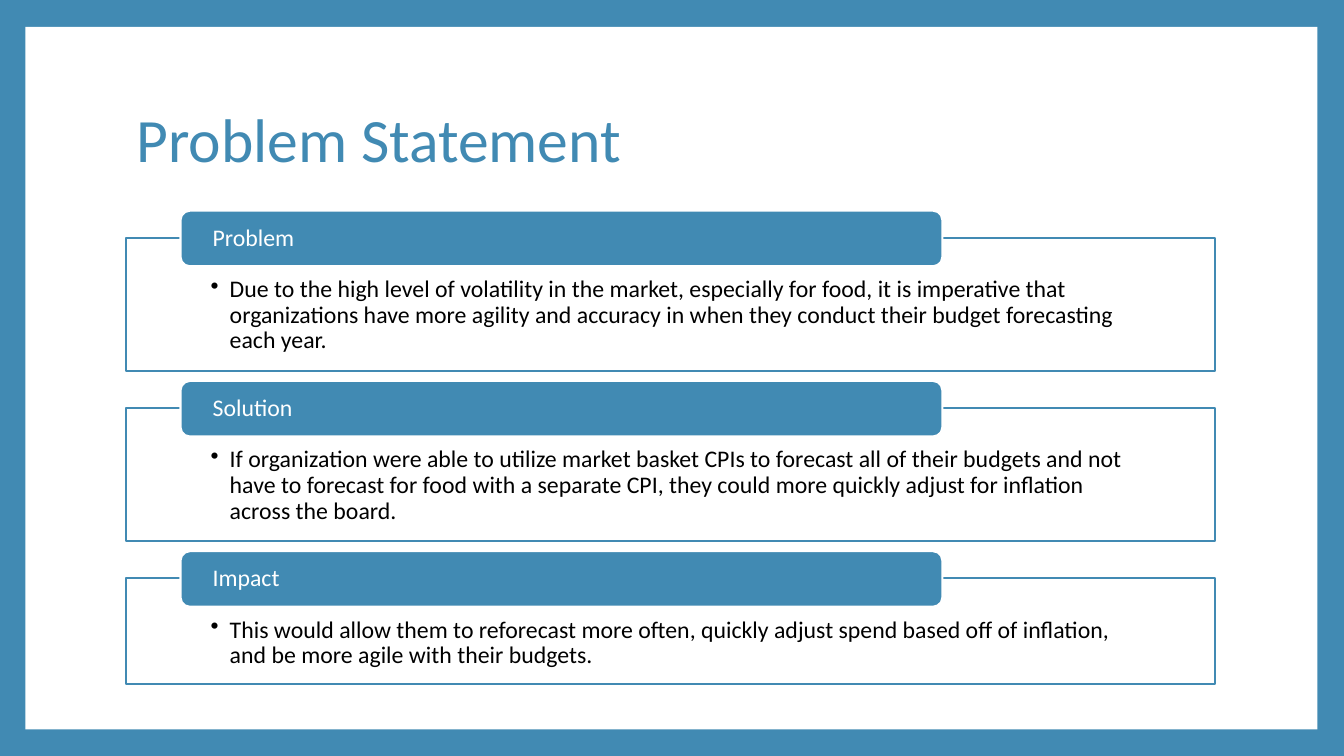
from lxml import etree
from pptx import Presentation
from pptx.dml.color import RGBColor
from pptx.enum.shapes import MSO_SHAPE
from pptx.enum.text import MSO_ANCHOR, MSO_AUTO_SIZE, PP_ALIGN
from pptx.oxml.ns import qn
from pptx.util import Cm, Pt

RECTANGLE = MSO_SHAPE.RECTANGLE
ROUNDED = MSO_SHAPE.ROUNDED_RECTANGLE
TOP, MIDDLE = MSO_ANCHOR.TOP, MSO_ANCHOR.MIDDLE
NO_AUTOFIT = MSO_AUTO_SIZE.NONE
LEFT = PP_ALIGN.LEFT

BLUE = RGBColor(0x41, 0x8A, 0xB3)
WHITE = RGBColor(0xFF, 0xFF, 0xFF)
BLACK = RGBColor(0, 0, 0)
FONT = "Calibri"
TITLE_ONLY = 5

CONTENT_LEFT, CONTENT_WIDTH = Cm(3.18), Cm(27.43)
FIRST_TOP, SECTION_PITCH = Cm(5.99), Cm(4.29)
LABEL_RISE = Cm(0.68)
BULLET_INDENT = Cm(0.48)

SECTIONS = [
    ("Problem", Cm(3.35),
     "Due to the high level of volatility in the market, especially for food, "
     "it is imperative that organizations have more agility and accuracy in "
     "when they conduct their budget forecasting each year."),
    ("Solution", Cm(3.35),
     "If organization were able to utilize market basket CPIs to forecast all "
     "of their budgets and not have to forecast for food with a separate CPI, "
     "they could more quickly adjust for inflation across the board."),
    ("Impact", Cm(2.67),
     "This would allow them to reforecast more often, quickly adjust spend "
     "based off of inflation, and be more agile with their budgets."),
]


def add_box(slide, kind, left, top, width, height, fill, outline=None):
    box = slide.shapes.add_shape(kind, left, top, width, height)
    box.shadow.inherit = False
    box.fill.solid()
    box.fill.fore_color.rgb = fill
    if outline is None:
        box.line.fill.background()
    else:
        box.line.color.rgb = outline
        box.line.width = Pt(1.5)
    return box


def add_bullet(paragraph):
    properties = paragraph._p.get_or_add_pPr()
    properties.set("marL", str(BULLET_INDENT))
    properties.set("indent", str(-BULLET_INDENT))
    etree.SubElement(properties, qn("a:buChar"), char="•")


def write(shape, text, size, color, anchor, bulleted=False):
    frame = shape.text_frame
    frame.word_wrap = True
    frame.auto_size = NO_AUTOFIT
    frame.vertical_anchor = anchor
    frame.text = text
    paragraph = frame.paragraphs[0]
    if bulleted:
        add_bullet(paragraph)
    paragraph.alignment = LEFT
    paragraph.line_spacing = 0.9
    font = paragraph.font
    font.name, font.size, font.color.rgb = FONT, Pt(size), color


def set_margins(shape, side, top, bottom):
    frame = shape.text_frame
    frame.margin_left = frame.margin_right = side
    frame.margin_top, frame.margin_bottom = top, bottom


def add_title(slide, text):
    """Fill the title and lay the white page panel beneath it."""
    title = slide.shapes.title
    title.left, title.top = CONTENT_LEFT, Cm(1.7)
    title.width, title.height = CONTENT_WIDTH, Cm(3.76)
    write(title, text, 44, BLUE, MIDDLE)
    panel = add_box(slide, RECTANGLE, Cm(0.64), Cm(0.68), Cm(32.56), Cm(17.7), WHITE)
    title.element.addprevious(panel.element)


def add_section(slide, top, heading, height, statement):
    body = add_box(slide, RECTANGLE, CONTENT_LEFT, top, CONTENT_WIDTH, height, WHITE, BLUE)
    set_margins(body, Cm(2.13), Cm(0.99), Cm(0.33))
    write(body, statement, 17, BLACK, TOP, bulleted=True)

    label = add_box(slide, ROUNDED, Cm(4.55), top - LABEL_RISE, Cm(19.2), Cm(1.4), BLUE, WHITE)
    set_margins(label, Cm(0.74), 0, 0)
    write(label, heading, 17, WHITE, MIDDLE)


def main():
    presentation = Presentation()
    presentation.slide_width, presentation.slide_height = Cm(33.87), Cm(19.05)
    slide = presentation.slides.add_slide(presentation.slide_layouts[TITLE_ONLY])
    slide.background.fill.solid()
    slide.background.fill.fore_color.rgb = BLUE
    add_title(slide, "Problem Statement")
    for index, (heading, height, statement) in enumerate(SECTIONS):
        add_section(slide, FIRST_TOP + index * SECTION_PITCH, heading, height, statement)
    presentation.save("out.pptx")


if __name__ == "__main__":
    main()
